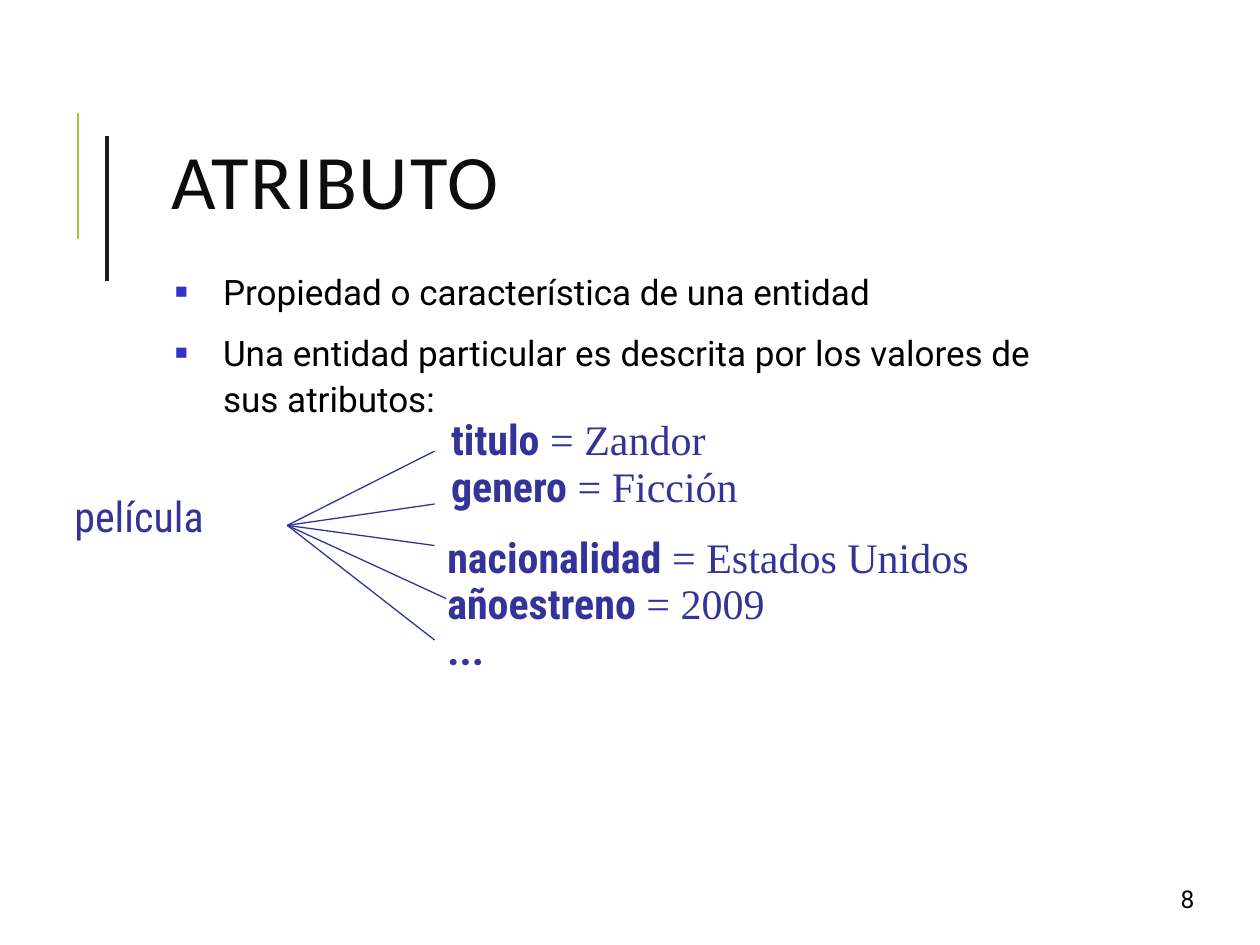
from lxml import etree
from pptx import Presentation
from pptx.dml.color import RGBColor as Rgb
from pptx.enum.shapes import MSO_CONNECTOR as Conn
from pptx.enum.text import MSO_ANCHOR as Anchor
from pptx.oxml.ns import qn
from pptx.util import Inches, Pt

BLACK, NAVY = "000000", "333399"
BODY, LABEL, VALUE = "Roboto", "Roboto Condensed", "Times New Roman"


def color(code):
    """Turn a hex string into a colour."""
    return Rgb.from_string(code)


def add_line(slide, start, end, code, width):
    """Draw a straight line without shadow."""
    line = slide.shapes.add_connector(Conn.STRAIGHT, *map(Inches, start + end))
    line.line.color.rgb = color(code)
    line.line.width = Pt(width)
    etree.SubElement(line._element.spPr, qn("a:effectLst"))


def add_frame(slide, left, top, width, height):
    """Add a wrapping text box with hardly any margins."""
    frame = slide.shapes.add_textbox(*map(Inches, (left, top, width, height))).text_frame
    frame.word_wrap = True
    frame.margin_left = frame.margin_right = frame.margin_bottom = 0
    frame.margin_top = Inches(0.02)
    return frame


def add_run(para, text, font, size, code, bold=False):
    """Append one formatted run."""
    run = para.add_run()
    run.text = text
    run.font.name, run.font.size, run.font.bold = font, Pt(size), bold
    run.font.color.rgb = color(code)
    return run


def indent(para, left, first=0):
    """Set the left margin and first line indent."""
    props = para._p.get_or_add_pPr()
    props.set("marL", str(Inches(left)))
    props.set("indent", str(Inches(first)))
    return props


def add_bullet(para):
    """Give a paragraph a small square bullet."""
    props = indent(para, 0.39, -0.38)
    tint = etree.SubElement(props, qn("a:buClr"))
    etree.SubElement(tint, qn("a:srgbClr"), val="3333CC")
    etree.SubElement(props, qn("a:buSzPct"), val="60000")
    etree.SubElement(props, qn("a:buFont"), typeface=VALUE)
    etree.SubElement(props, qn("a:buChar"), char="■")


def add_pair(para, name, value, left, space):
    """Write an attribute name in bold and its value."""
    indent(para, left)
    para.line_spacing = Pt(space)
    add_run(para, name, LABEL, 24, NAVY, True)
    if value:
        add_run(para, f" = {value}", VALUE, 24, NAVY)


def add_header(slide, left, top):
    """Place the two accent lines and the title."""
    add_line(slide, (left, top), (left, top + 1), "99CB38", 1.5)
    add_line(slide, (left + 0.23, top + 0.18), (left + 0.23, top + 1.33), "1C1C1C", 2.5)
    frame = add_frame(slide, left + 0.74, top + 0.13, 3.28, 0.76)
    frame.vertical_anchor = Anchor.MIDDLE
    run = add_run(frame.paragraphs[0], "ATRIBUTO", "Calibri", 44, "0D0D0D")
    run._r.get_or_add_rPr().set("spc", "100")


def add_body(slide, left, top):
    """Place the bullets and the first two attributes."""
    para = add_frame(slide, left, top, 6.49, 0.35).paragraphs[0]
    add_bullet(para)
    add_run(para, "Propiedad o característica de una entidad", BODY, 20, BLACK)
    frame = add_frame(slide, left, top + 0.48, 8.05, 1.46)
    para = frame.paragraphs[0]
    add_bullet(para)
    add_run(para, "Una entidad particular es descrita por los valores de", BODY, 20, BLACK)
    para = frame.add_paragraph()
    indent(para, 0.39)
    para.line_spacing = Pt(26.6)
    add_run(para, "sus atributos:", BODY, 20, BLACK)
    add_pair(frame.add_paragraph(), "titulo", "Zandor", 2.2, 24.9)
    add_pair(frame.add_paragraph(), "genero", "Ficción", 2.2, 27.1)


def add_fan(slide, left, top):
    """Place the entity, its fan of lines and the other attributes."""
    para = add_frame(slide, left, top, 1.55, 0.42).paragraphs[0]
    indent(para, 0.01)
    add_run(para, "película", LABEL, 24, NAVY)
    hub = (left + 1.7, top + 0.3)
    for wide, rise in ((1.17, -0.59), (1.17, -0.17), (1.17, 0.16), (1.26, 0.58), (1.17, 0.91)):
        add_line(slide, hub, (hub[0] + wide, hub[1] + rise), NAVY, 0.75)
    frame = add_frame(slide, left + 2.96, top + 0.33, 6.08, 1.15)
    add_pair(frame.paragraphs[0], "nacionalidad", "Estados Unidos", 0.01, 28.6)
    add_pair(frame.add_paragraph(), "añoestreno", "2009", 0.01, 26.2)
    add_pair(frame.add_paragraph(), "...", "", 0.01, 26.4)


def add_number(slide, left, top):
    """Place the slide number."""
    para = add_frame(slide, left, top, 0.2, 0.26).paragraphs[0]
    indent(para, 0.01)
    add_run(para, "8", BODY, 14, BLACK)


def main():
    """Build and save the slide."""
    deck = Presentation()
    deck.slide_width, deck.slide_height = Inches(10), Inches(7.5)
    slide = deck.slides.add_slide(deck.slide_layouts[6])
    add_header(slide, 0.62, 0.9)
    add_body(slide, 1.38, 2.13)
    add_fan(slide, 0.58, 3.87)
    add_number(slide, 9.36, 7)
    deck.save("out.pptx")


if __name__ == "__main__":
    main()
